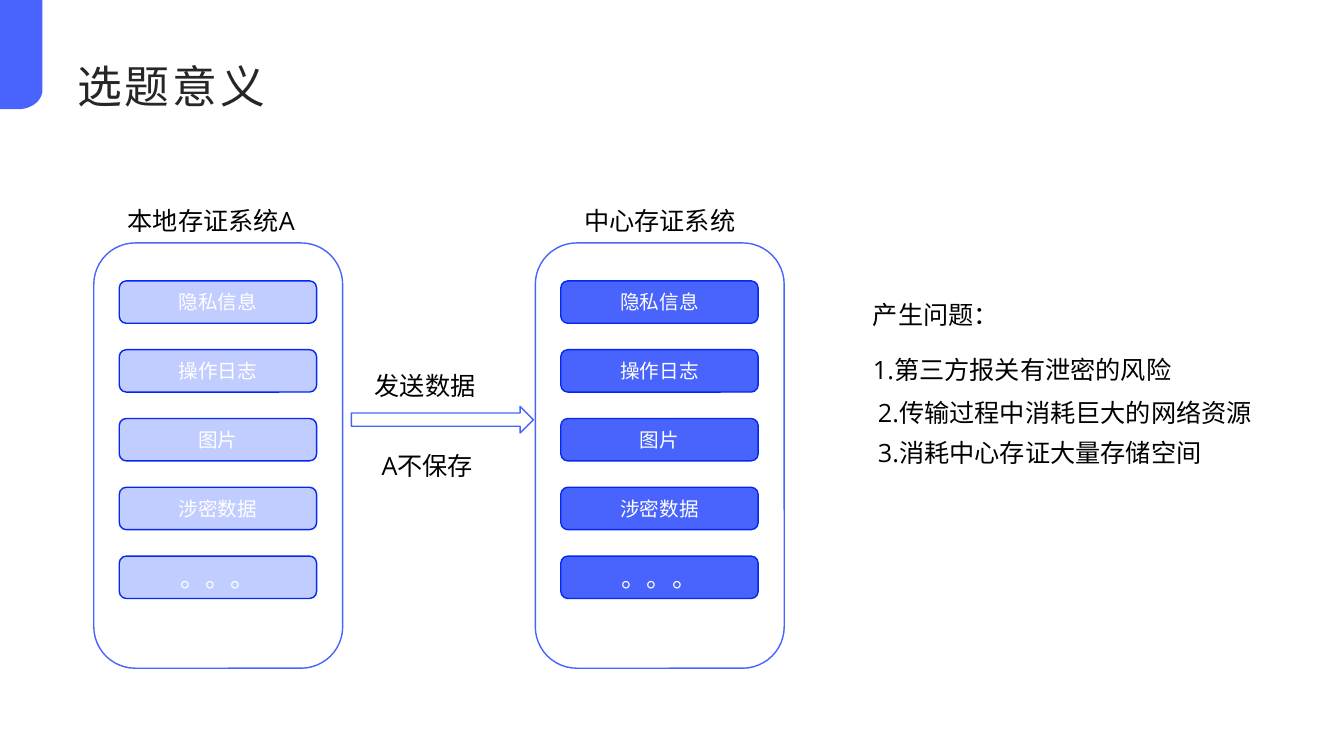
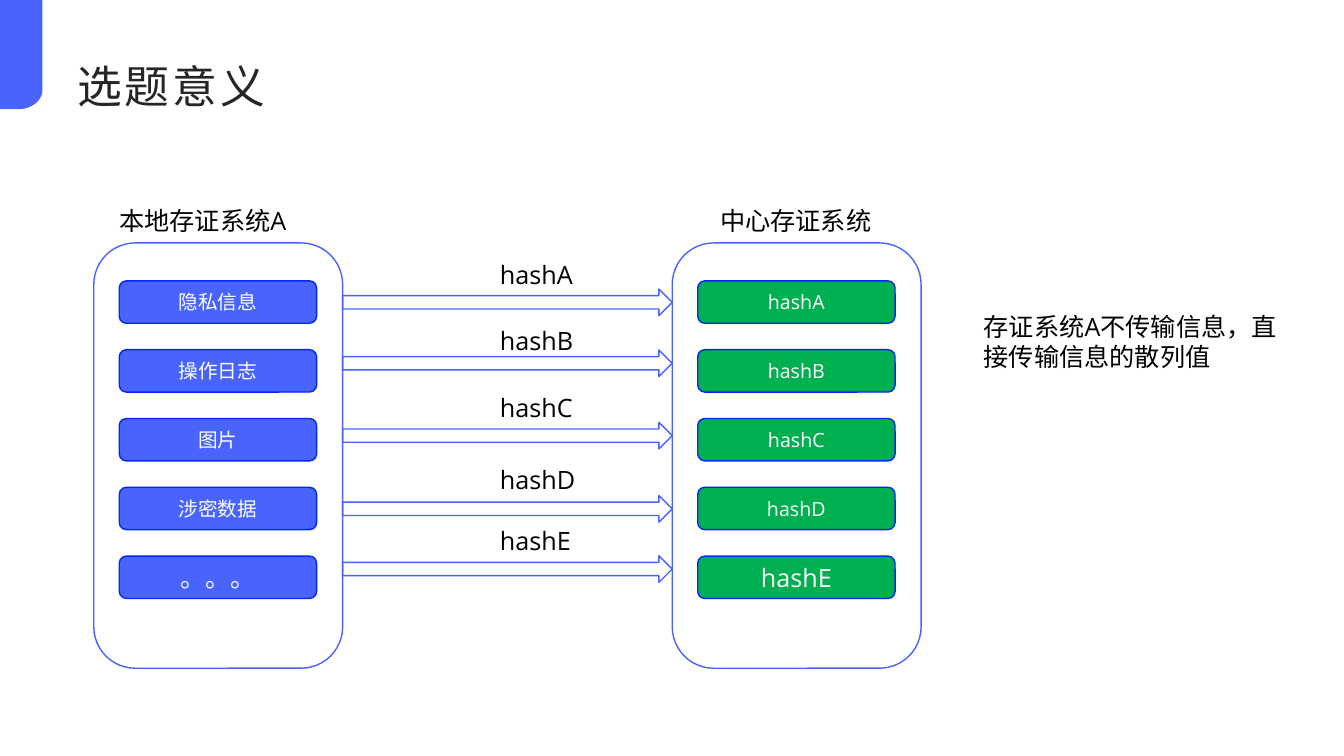
from math import cos, pi, sin

from pptx import Presentation
from pptx.dml.color import RGBColor
from pptx.enum.shapes import MSO_SHAPE
from pptx.enum.text import MSO_ANCHOR, MSO_AUTO_SIZE, PP_ALIGN
from pptx.util import Pt

COLORS = {
    "blue": "4864FC",
    "pale": "C1CCFF",
    "edge": "0428EF",
    "green": "00B050",
    "title": "262626",
    "black": "000000",
    "white": "FFFFFF",
}
TITLE_FONT = "Karla"
BODY_FONT = "Open Sans"

PANEL_TOP, PANEL_WIDTH, PANEL_HEIGHT = 173.5, 177.8, 303.8
ITEM_INSET, ITEM_OFFSET, ITEM_PITCH = 18.2, 27.1, 49.15
ITEM_WIDTH, ITEM_HEIGHT = 141, 30.3
ARROW_HEIGHT = 19
LABEL_HEIGHT = 29

RECORDS = ["隐私信息", "操作日志", "图片", "涉密数据", "。。。"]
HASHES = ["hashA", "hashB", "hashC", "hashD", "hashE"]


def color(name):
    return RGBColor.from_string(COLORS[name])


def style_paragraph(paragraph, size, tone="black", font=BODY_FONT, align=PP_ALIGN.LEFT):
    paragraph.font.name = font
    paragraph.font.size = Pt(size)
    paragraph.font.color.rgb = color(tone)
    paragraph.alignment = align


def style_shape(shape, fill=None, line=None):
    shape.shadow.inherit = False
    if fill:
        shape.fill.solid()
        shape.fill.fore_color.rgb = color(fill)
    else:
        shape.fill.background()
    if line:
        shape.line.color.rgb = color(line)
        shape.line.width = Pt(1)
    else:
        shape.line.fill.background()


def add_box(slide, kind, left, top, width, height, fill=None, line=None):
    shape = slide.shapes.add_shape(kind, Pt(left), Pt(top), Pt(width), Pt(height))
    style_shape(shape, fill, line)
    return shape


def add_label(slide, text, left, top, width, align=PP_ALIGN.LEFT):
    label = slide.shapes.add_textbox(Pt(left), Pt(top), Pt(width), Pt(LABEL_HEIGHT))
    label.text_frame.word_wrap = True
    label.text_frame.text = text
    style_paragraph(label.text_frame.paragraphs[0], 18, align=align)


def add_arrow(slide, left, top, width):
    add_box(slide, MSO_SHAPE.RIGHT_ARROW, left, top, width, ARROW_HEIGHT, line="blue")


def add_panel(slide, heading, left, items, fill, heading_shift=0):
    add_box(slide, MSO_SHAPE.ROUNDED_RECTANGLE, left, PANEL_TOP,
            PANEL_WIDTH, PANEL_HEIGHT, line="blue")
    add_label(slide, heading, left + heading_shift, PANEL_TOP - 30.4,
              PANEL_WIDTH, PP_ALIGN.CENTER)
    for row, text in enumerate(items):
        item = add_box(slide, MSO_SHAPE.ROUNDED_RECTANGLE, left + ITEM_INSET,
                       PANEL_TOP + ITEM_OFFSET + row * ITEM_PITCH,
                       ITEM_WIDTH, ITEM_HEIGHT, fill, "edge")
        item.text_frame.text = text
        size = 18 if row == len(items) - 1 else 14
        style_paragraph(item.text_frame.paragraphs[0], size, "white", align=PP_ALIGN.CENTER)


def fill_body(slide, lines, left, top, width, height):
    body = slide.placeholders[1]
    body.left, body.top, body.width, body.height = Pt(left), Pt(top), Pt(width), Pt(height)
    frame = body.text_frame
    frame.auto_size = MSO_AUTO_SIZE.NONE
    frame.text = "\n".join(text for text, indent, gap in lines)
    for paragraph, (text, indent, gap) in zip(frame.paragraphs, lines):
        style_paragraph(paragraph, 18)
        paragraph.space_before = Pt(gap)
        paragraph.space_after = Pt(0)
        properties = paragraph._p.get_or_add_pPr()
        properties.set("marL", str(Pt(indent)))
        properties.set("indent", "0")
        bullet = properties.makeelement(
            "{http://schemas.openxmlformats.org/drawingml/2006/main}buNone")
        properties.find("{*}defRPr").addprevious(bullet)


def add_corner_tab(slide, width, height, radius_x, radius_y):
    steps = 16
    angles = [pi / 2 * step / steps for step in range(steps + 1)]
    corner = [(Pt(width - radius_x + radius_x * cos(angle)),
               Pt(height - radius_y + radius_y * sin(angle))) for angle in angles]
    builder = slide.shapes.build_freeform(0, 0)
    builder.add_line_segments([(Pt(width), 0), *corner, (0, Pt(height))], close=True)
    tab = builder.convert_to_shape()
    style_shape(tab, "blue")
    return tab


def prepare_layout(layout, slide):
    for placeholder in list(layout.placeholders)[2:]:
        layout.shapes.element.remove(placeholder.element)
    title = layout.placeholders[0]
    title.left, title.top, title.width, title.height = Pt(48), Pt(31), Pt(864), Pt(53)
    title.text_frame.vertical_anchor = MSO_ANCHOR.BOTTOM
    tab = add_corner_tab(slide, 30.3, 78, 17.3, 13.7)
    layout.shapes.element.append(tab.element)


def add_title(slide, text):
    frame = slide.shapes.title.text_frame
    frame.text = text
    style_paragraph(frame.paragraphs[0], 32, "title", TITLE_FONT)
    frame.paragraphs[0].runs[0]._r.get_or_add_rPr().set("spc", "200")


def build_problem_slide(slide):
    add_title(slide, "选题意义")
    add_panel(slide, "本地存证系统A", 67, RECORDS, "pale", -5)
    add_panel(slide, "中心存证系统", 382.4, RECORDS, "blue")
    add_arrow(slide, 251, 290.3, 130)
    add_label(slide, "发送数据", 260.5, 261, 106)
    add_label(slide, "A不保存", 265.5, 318, 99)
    fill_body(slide, [("产生问题：", 0, 0), ("1.第三方报关有泄密的风险", 0, 18),
                      ("2.传输过程中消耗巨大的网络资源", 3.6, 9),
                      ("3.消耗中心存证大量存储空间", 3.6, 7)],
              616.3, 210, 318, 135)


def build_hash_slide(slide):
    add_title(slide, "选题意义")
    local_left, center_left = 67, 480.2
    add_panel(slide, "本地存证系统A", local_left, RECORDS, "blue", -11)
    add_panel(slide, "中心存证系统", center_left, HASHES, "green", -0.7)
    arrow_left = local_left + PANEL_WIDTH
    arrow_tops = [206.5, 250, 301.7, 354, 397]
    label_tops = [182, 229, 276.5, 328, 371.5]
    for text, arrow_top, label_top in zip(HASHES, arrow_tops, label_tops):
        add_arrow(slide, arrow_left, arrow_top, center_left - arrow_left)
        add_label(slide, text, 350, label_top, 92)
    fill_body(slide, [("存证系统A不传输信息，直接传输信息的散列值", 0, 0)],
              695.5, 218.8, 239, 78)


def main():
    presentation = Presentation()
    presentation.slide_width, presentation.slide_height = Pt(960), Pt(540)
    layout = presentation.slide_layouts[1]
    problem_slide = presentation.slides.add_slide(layout)
    hash_slide = presentation.slides.add_slide(layout)
    prepare_layout(layout, problem_slide)
    build_problem_slide(problem_slide)
    build_hash_slide(hash_slide)
    presentation.save("out.pptx")


if __name__ == "__main__":
    main()
